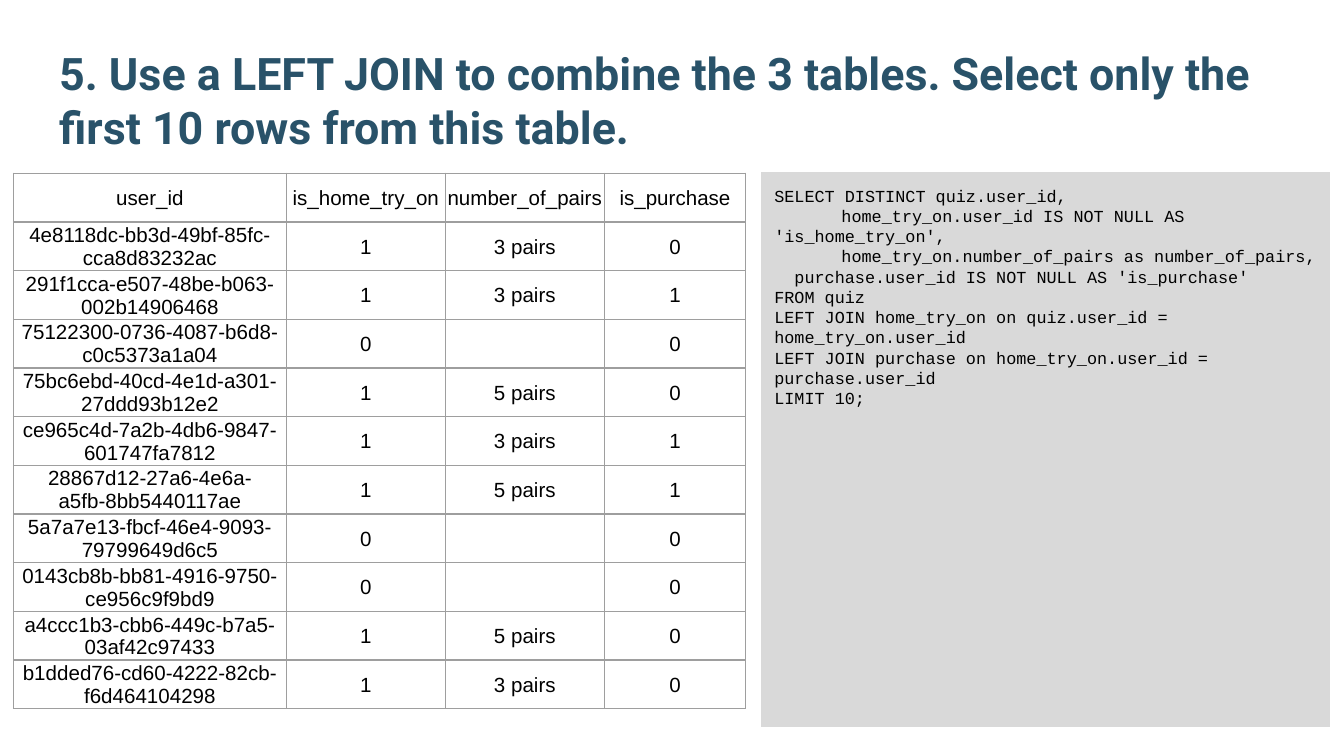
from dataclasses import dataclass

from lxml.etree import SubElement
from pptx import Presentation
from pptx.dml.color import RGBColor
from pptx.enum.shapes import MSO_SHAPE
from pptx.enum.text import MSO_ANCHOR, MSO_AUTO_SIZE, PP_ALIGN
from pptx.oxml.ns import qn
from pptx.util import Pt


@dataclass(frozen=True)
class Theme:
    title_color: str = "295269"
    text_color: str = "000000"
    panel_color: str = "D9D9D9"
    border_color: str = "9E9E9E"
    title_font: str = "Roboto"
    table_font: str = "Arial"
    code_font: str = "Courier New"
    title_size: float = 24
    table_size: float = 11
    code_size: float = 9
    border_width: float = 0.75
    inset: float = 7.2
    cell_inset: float = 0.7


class SlideBuilder:
    def __init__(self, slide, theme):
        self.slide = slide
        self.theme = theme

    def add_run(self, paragraph, text, font, size, color, bold=False):
        run = paragraph.add_run()
        run.text = text
        run.font.name = font
        run.font.size = Pt(size)
        run.font.bold = bold
        run.font.color.rgb = RGBColor.from_string(color)

    def set_frame(self, frame, anchor):
        frame.word_wrap = True
        frame.auto_size = MSO_AUTO_SIZE.NONE
        frame.vertical_anchor = anchor
        frame.margin_left = frame.margin_right = Pt(self.theme.inset)
        frame.margin_top = frame.margin_bottom = Pt(self.theme.inset)

    def add_title(self, text, left, top, width, height):
        theme = self.theme
        title = self.slide.shapes.title
        title.left, title.top = Pt(left), Pt(top)
        title.width, title.height = Pt(width), Pt(height)
        self.set_frame(title.text_frame, MSO_ANCHOR.BOTTOM)
        paragraph = title.text_frame.paragraphs[0]
        paragraph.alignment = PP_ALIGN.LEFT
        self.add_run(paragraph, text, theme.title_font, theme.title_size,
                     theme.title_color, bold=True)

    def add_code_panel(self, lines, left, top, width, height):
        theme = self.theme
        shape = self.slide.shapes.add_shape(
            MSO_SHAPE.RECTANGLE, Pt(left), Pt(top), Pt(width), Pt(height))
        shape.shadow.inherit = False
        shape.fill.solid()
        shape.fill.fore_color.rgb = RGBColor.from_string(theme.panel_color)
        shape.line.fill.background()
        frame = shape.text_frame
        self.set_frame(frame, MSO_ANCHOR.TOP)
        for index, line in enumerate(lines):
            paragraph = frame.add_paragraph() if index else frame.paragraphs[0]
            paragraph.alignment = PP_ALIGN.LEFT
            self.add_run(paragraph, line, theme.code_font, theme.code_size,
                         theme.text_color)

    def add_table(self, rows, left, top, column_widths, row_height):
        table = self.slide.shapes.add_table(
            len(rows), len(column_widths), Pt(left), Pt(top),
            Pt(sum(column_widths)), Pt(row_height * len(rows))).table
        table.first_row = table.horz_banding = False
        for column, width in zip(table.columns, column_widths):
            column.width = Pt(width)
        for row_index, values in enumerate(rows):
            table.rows[row_index].height = Pt(row_height)
            for column_index, value in enumerate(values):
                self.format_cell(table.cell(row_index, column_index), value)

    def format_cell(self, cell, value):
        theme = self.theme
        cell.vertical_anchor = MSO_ANCHOR.MIDDLE
        cell.margin_left = cell.margin_right = Pt(theme.cell_inset)
        cell.margin_top, cell.margin_bottom = Pt(theme.cell_inset), 0
        self.add_borders(cell)
        cell.fill.background()
        paragraph = cell.text_frame.paragraphs[0]
        paragraph.alignment = PP_ALIGN.CENTER
        paragraph.font.size = Pt(theme.table_size)
        if value:
            self.add_run(paragraph, value, theme.table_font, theme.table_size,
                         theme.text_color)

    def add_borders(self, cell):
        properties = cell._tc.get_or_add_tcPr()
        for side in ("lnL", "lnR", "lnT", "lnB"):
            border = SubElement(properties, qn(f"a:{side}"),
                                w=str(Pt(self.theme.border_width)))
            fill = SubElement(border, qn("a:solidFill"))
            SubElement(fill, qn("a:srgbClr"), val=self.theme.border_color)


TITLE = ("5. Use a LEFT JOIN to combine the 3 tables. "
         "Select only the first 10 rows from this table.")

QUERY = [
    "SELECT DISTINCT quiz.user_id,",
    "\thome_try_on.user_id IS NOT NULL AS 'is_home_try_on',",
    "\thome_try_on.number_of_pairs as number_of_pairs,",
    "  purchase.user_id IS NOT NULL AS 'is_purchase'",
    "FROM quiz",
    "LEFT JOIN home_try_on on quiz.user_id = home_try_on.user_id",
    "LEFT JOIN purchase on home_try_on.user_id = purchase.user_id",
    "LIMIT 10;",
]

RESULT_ROWS = [
    ("user_id", "is_home_try_on", "number_of_pairs", "is_purchase"),
    ("4e8118dc-bb3d-49bf-85fc-cca8d83232ac", "1", "3 pairs", "0"),
    ("291f1cca-e507-48be-b063-002b14906468", "1", "3 pairs", "1"),
    ("75122300-0736-4087-b6d8-c0c5373a1a04", "0", "", "0"),
    ("75bc6ebd-40cd-4e1d-a301-27ddd93b12e2", "1", "5 pairs", "0"),
    ("ce965c4d-7a2b-4db6-9847-601747fa7812", "1", "3 pairs", "1"),
    ("28867d12-27a6-4e6a-a5fb-8bb5440117ae", "1", "5 pairs", "1"),
    ("5a7a7e13-fbcf-46e4-9093-79799649d6c5", "0", "", "0"),
    ("0143cb8b-bb81-4916-9750-ce956c9f9bd9", "0", "", "0"),
    ("a4ccc1b3-cbb6-449c-b7a5-03af42c97433", "1", "5 pairs", "0"),
    ("b1dded76-cd60-4222-82cb-f6d464104298", "1", "3 pairs", "0"),
]


def main():
    presentation = Presentation()
    presentation.slide_width, presentation.slide_height = Pt(720), Pt(405)
    title_only = presentation.slide_layouts[5]
    builder = SlideBuilder(presentation.slides.add_slide(title_only), Theme())

    # Heading
    builder.add_title(TITLE, 24.5, 23, 671, 66.5)

    # Query on the right
    builder.add_code_panel(QUERY, 407.7, 92.2, 304.7, 297.3)

    # Query result on the left
    builder.add_table(RESULT_ROWS, 7.2, 92.8, (146.3, 85, 85.4, 75.6), 26.1)

    presentation.save("out.pptx")


if __name__ == "__main__":
    main()
